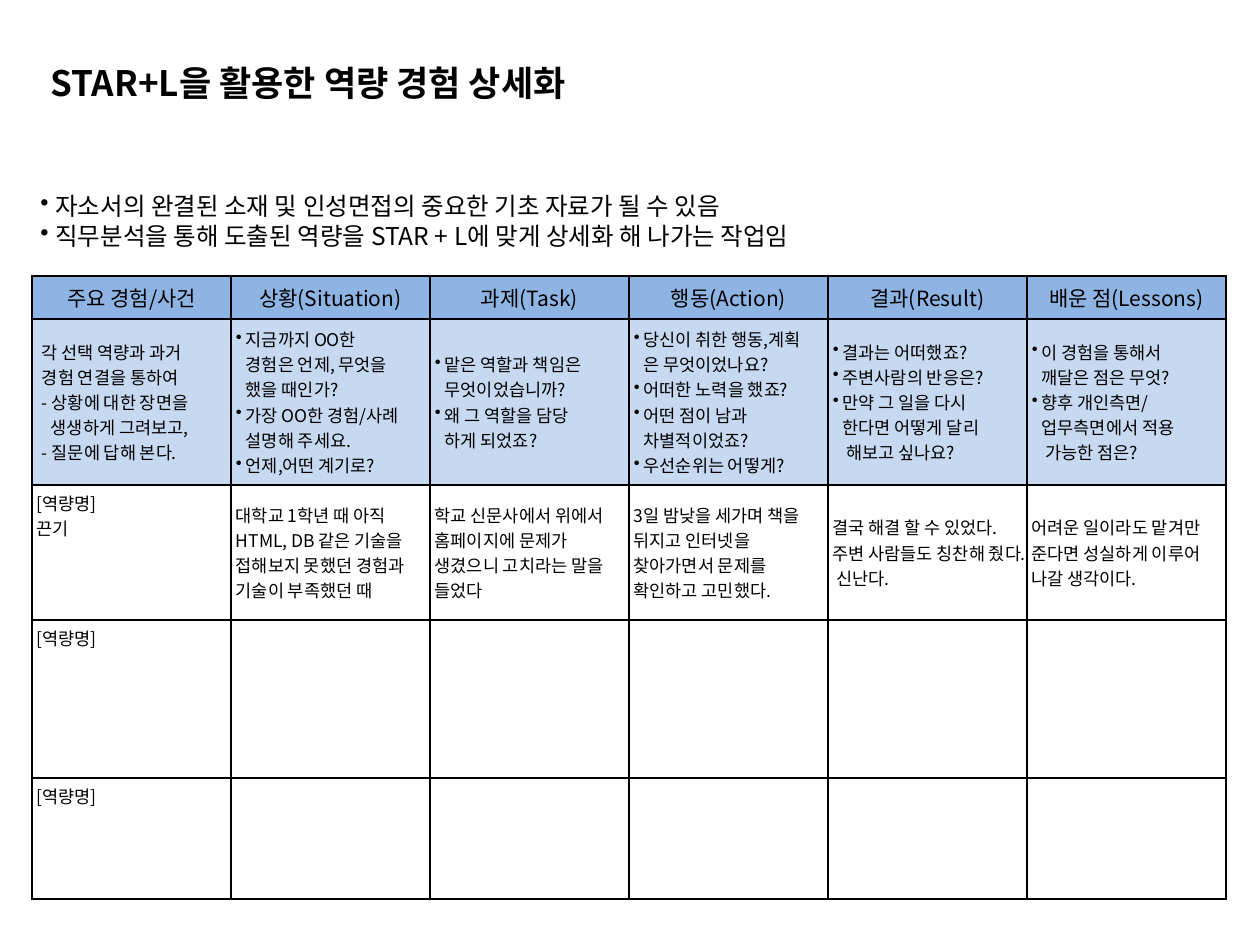
from lxml.etree import SubElement
from pptx import Presentation
from pptx.dml.color import RGBColor
from pptx.enum.text import MSO_ANCHOR, PP_ALIGN
from pptx.oxml.ns import qn
from pptx.util import Pt

PX = 914400 // 126
FONT = "Noto Sans CJK KR"
COLORS = {"text": "000000", "border": "000000", "header": "8EB4E3", "guide": "C6D9F1"}

# Table geometry
TABLE_LEFT, TABLE_TOP, COLUMN_WIDTH = 32, 276, 199
ROW_HEIGHTS = [43, 166, 135, 158, 121]
CELL_MARGIN = 5

# A plain string is a paragraph; "• " makes it a bullet; (indent, text) indents it.
HEADERS = ["주요 경험/사건", "상황(Situation)", "과제(Task)",
           "행동(Action)", "결과(Result)", "배운 점(Lessons)"]
GUIDES = [
    [(5, "각 선택 역량과 과거"), (5, "경험 연결을 통하여"), (5, "- 상황에 대한 장면을"),
     (14, "생생하게 그려보고,"), (5, "- 질문에 답해 본다.")],
    ["• 지금까지 OO한", (10, "경험은 언제, 무엇을"), (10, "했을 때인가?"),
     "• 가장 OO한 경험/사례", (10, "설명해 주세요."), "• 언제,어떤 계기로?"],
    ["• 맡은 역할과 책임은", (10, "무엇이었습니까?"),
     "• 왜 그 역할을 담당", (10, "하게 되었죠?")],
    ["• 당신이 취한 행동,계획", (10, "은 무엇이었나요?"), "• 어떠한 노력을 했죠?",
     "• 어떤 점이 남과", (10, "차별적이었죠?"), "• 우선순위는 어떻게?"],
    ["• 결과는 어떠했죠?", "• 주변사람의 반응은?", "• 만약 그 일을 다시",
     (10, "한다면 어떻게 달리"), (14, "해보고 싶나요?")],
    ["• 이 경험을 통해서", (10, "깨달은 점은 무엇?"), "• 향후 개인측면/",
     (10, "업무측면에서 적용"), (14, "가능한 점은?")],
]
COMPETENCY = "[역량명]"
EXAMPLES = [
    [COMPETENCY, "끈기"],
    ["대학교 1학년 때 아직 HTML, DB 같은 기술을 접해보지 못했던 경험과 기술이 부족했던 때"],
    ["학교 신문사에서 위에서 홈페이지에 문제가 생겼으니 고치라는 말을 들었다"],
    ["3일 밤낮을 세가며 책을 뒤지고 인터넷을 찾아가면서 문제를 확인하고 고민했다."],
    ["결국 해결 할 수 있었다. 주변 사람들도 칭찬해 줬다. 신난다."],
    ["어려운 일이라도 맡겨만 준다면 성실하게 이루어 나갈 생각이다."],
]
BLANK_ROW = [[COMPETENCY]] + [[]] * 5


def px(length):
    return length * PX


def write_text(frame, lines, size=10, bold=False, align=PP_ALIGN.LEFT, hang=10):
    """Write one formatted paragraph for each line."""
    for index, line in enumerate(lines):
        indent, text = line if isinstance(line, tuple) else (0, line)
        para = frame.paragraphs[0] if index == 0 else frame.add_paragraph()
        para.alignment = align
        bullet = text.startswith("• ")
        properties = para._p.get_or_add_pPr()
        properties.set("marL", str(px(hang if bullet else indent)))
        properties.set("indent", str(px(-hang if bullet else 0)))
        if bullet:
            SubElement(properties, qn("a:buChar"), char="•")
        span = para.add_run()
        span.text = text.removeprefix("• ")
        span.font.size = Pt(size)
        span.font.bold = bold
        span.font.color.rgb = RGBColor.from_string(COLORS["text"])
        span.font.name = FONT
        SubElement(span._r.get_or_add_rPr(), qn("a:ea"), typeface=FONT)


def add_text_box(page, left, top, width, height, lines, **text_format):
    box = page.shapes.add_textbox(px(left), px(top), px(width), px(height))
    box.text_frame.word_wrap = True
    write_text(box.text_frame, lines, **text_format)


def set_borders(cell):
    properties = cell._tc.get_or_add_tcPr()
    for side in ("a:lnL", "a:lnR", "a:lnT", "a:lnB"):
        line = SubElement(properties, qn(side), w=str(Pt(1)))
        fill = SubElement(line, qn("a:solidFill"))
        SubElement(fill, qn("a:srgbClr"), val=COLORS["border"])


def fill_cell(cell, lines, fill=None, anchor=MSO_ANCHOR.MIDDLE, **text_format):
    set_borders(cell)
    if fill:
        cell.fill.solid()
        cell.fill.fore_color.rgb = RGBColor.from_string(COLORS[fill])
    else:
        cell.fill.background()
    cell.margin_left = cell.margin_right = px(CELL_MARGIN)
    cell.margin_top = cell.margin_bottom = px(CELL_MARGIN)
    cell.vertical_anchor = anchor
    write_text(cell.text_frame, lines, **text_format)


def add_star_table(page):
    rows = [[[header] for header in HEADERS], GUIDES, EXAMPLES, BLANK_ROW, BLANK_ROW]
    table = page.shapes.add_table(
        len(rows), len(HEADERS), px(TABLE_LEFT), px(TABLE_TOP),
        px(COLUMN_WIDTH * len(HEADERS)), px(sum(ROW_HEIGHTS))).table
    table.first_row = table.horz_banding = False
    for column in table.columns:
        column.width = px(COLUMN_WIDTH)
    for row, height in zip(table.rows, ROW_HEIGHTS):
        row.height = px(height)

    row_formats = [{"fill": "header", "size": 12, "align": PP_ALIGN.CENTER},
                   {"fill": "guide"}, {}, {}, {}]
    for row_index, (cells, row_format) in enumerate(zip(rows, row_formats)):
        for column_index, lines in enumerate(cells):
            is_name = row_index >= 2 and column_index == 0
            anchor = MSO_ANCHOR.TOP if is_name else MSO_ANCHOR.MIDDLE
            fill_cell(table.cell(row_index, column_index), lines,
                      anchor=anchor, **row_format)


def main():
    deck = Presentation()
    deck.slide_width, deck.slide_height = px(1260), px(945)
    page = deck.slides.add_slide(deck.slide_layouts[6])

    # Title
    add_text_box(page, 38, 55, 873, 55, ["STAR+L을 활용한 역량 경험 상세화"],
                 size=20, bold=True)
    # Worksheet
    add_star_table(page)
    # Purpose
    add_text_box(page, 28, 185, 1191, 72,
                 ["• 자소서의 완결된 소재 및 인성면접의 중요한 기초 자료가 될 수 있음",
                  "• 직무분석을 통해 도출된 역량을 STAR + L에 맞게 상세화 해 나가는 작업임"],
                 size=14, hang=15)
    deck.save("out.pptx")


if __name__ == "__main__":
    main()
